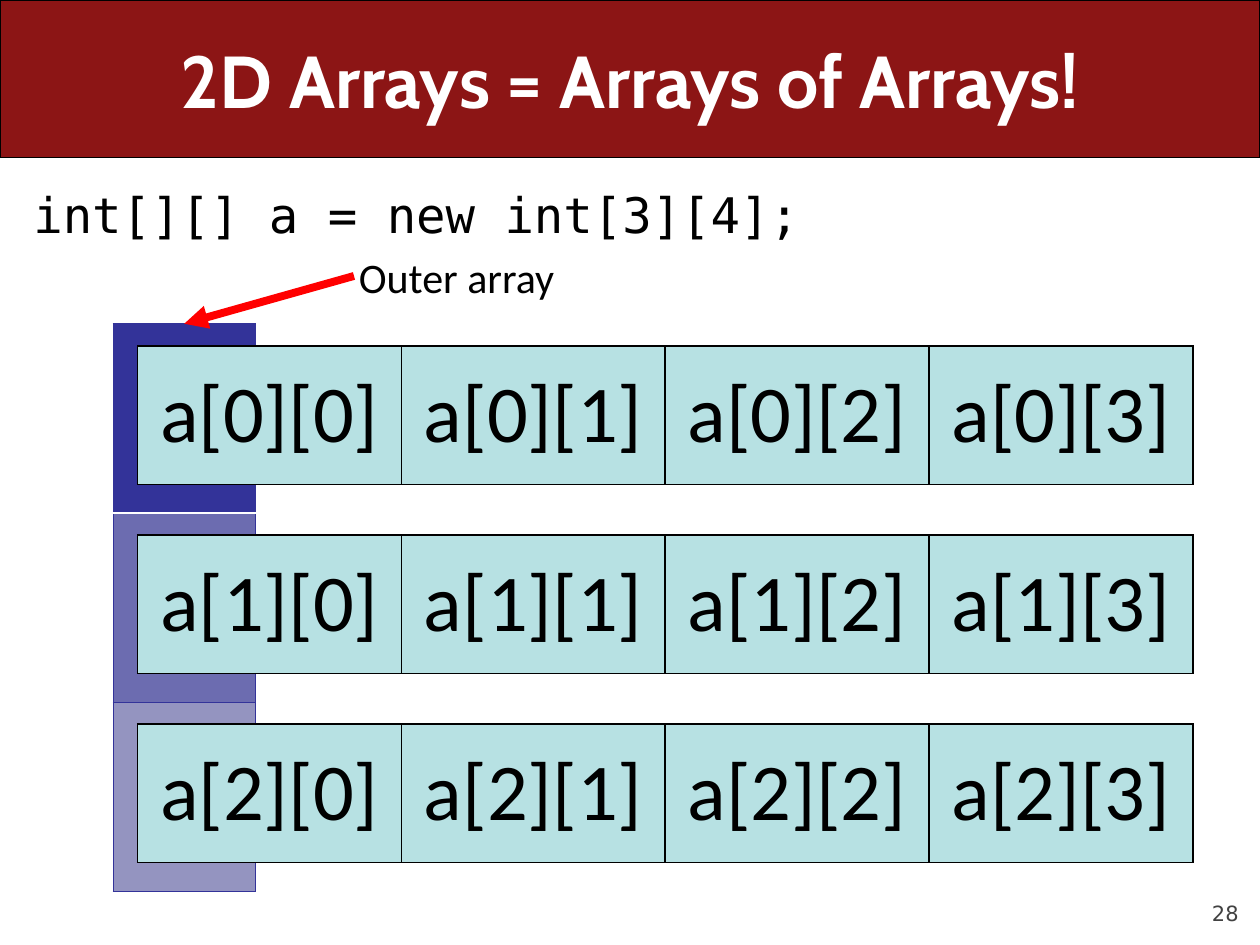
from pptx import Presentation
from pptx.dml.color import RGBColor
from pptx.enum.shapes import MSO_CONNECTOR, MSO_SHAPE
from pptx.enum.text import MSO_ANCHOR, PP_ALIGN
from pptx.oxml.ns import qn
from pptx.util import Pt
from lxml import etree

LEFT, CENTER, RIGHT = PP_ALIGN.LEFT, PP_ALIGN.CENTER, PP_ALIGN.RIGHT
TOP, MIDDLE, BOTTOM = MSO_ANCHOR.TOP, MSO_ANCHOR.MIDDLE, MSO_ANCHOR.BOTTOM
RECT, LINE = MSO_SHAPE.RECTANGLE, MSO_CONNECTOR.STRAIGHT

BLACK = RGBColor(0x00, 0x00, 0x00)
WHITE = RGBColor(0xFF, 0xFF, 0xFF)
GRAY = RGBColor(0x42, 0x42, 0x42)
RED = RGBColor(0xFF, 0x00, 0x00)
MAROON = RGBColor(0x8C, 0x15, 0x15)
NAVY = RGBColor(0x33, 0x33, 0x99)
INDIGO = RGBColor(0x6C, 0x6C, 0xB0)
LILAC = RGBColor(0x94, 0x94, 0xC0)
AQUA = RGBColor(0xB7, 0xE1, 0xE3)

HEAD = {"name": "Cabin", "size": Pt(42), "bold": True}
CODE = {"name": "DejaVu Sans Mono", "size": Pt(28)}
NOTE = {"name": "Calibri", "size": Pt(24)}
CELL = {"name": "Calibri", "size": Pt(46)}
PAGE = {"name": "DejaVu Sans", "size": Pt(12)}

ROWS, COLS = 3, 4
PITCH = 108


def write(frame, text, font, color=BLACK, align=LEFT):
    """Put one formatted line of text into a text frame."""
    line = frame.paragraphs[0]
    line.alignment = align
    run = line.add_run()
    run.text = text
    for key, value in font.items():
        setattr(run.font, key, value)
    run.font.color.rgb = color


def add_label(slide, box, text, font, color=BLACK, align=LEFT,
              anchor=TOP, wrap=True, inset=None):
    """Add a text box in the given box."""
    frame = slide.shapes.add_textbox(*map(Pt, box)).text_frame
    frame.word_wrap = wrap
    frame.vertical_anchor = anchor
    if inset is not None:
        for side in ("left", "top", "right", "bottom"):
            setattr(frame, f"margin_{side}", Pt(inset))
    write(frame, text, font, color, align)


def add_title(slide, box, text):
    """Fill the title over a banner that spans the box."""
    left, top, width, height = box
    band = slide.shapes.add_shape(RECT, *map(Pt, box))
    band.shadow.inherit = False
    band.fill.solid()
    band.fill.fore_color.rgb = MAROON
    band.line.color.rgb = BLACK
    band.line.width = Pt(0.75)
    title = slide.shapes.title
    title.element.addprevious(band.element)
    title.left, title.top = Pt(left + 36), Pt(top)
    title.width, title.height = Pt(width - 72), Pt(height)
    title.text_frame.vertical_anchor = MIDDLE
    write(title.text_frame, text, HEAD, WHITE, CENTER)


def add_edge(cell, side, color, width):
    """Draw the border on one side of a table cell."""
    props = cell._tc.get_or_add_tcPr()
    edge = etree.SubElement(props, qn(f"a:ln{side}"), w=str(Pt(width)))
    fill = etree.SubElement(edge, qn("a:solidFill"))
    etree.SubElement(fill, qn("a:srgbClr"), val=str(color))


def add_grid(slide, box, rows, cols):
    """Add a plain table with equal rows and columns."""
    table = slide.shapes.add_table(rows, cols, *map(Pt, box)).table
    table.first_row = table.horz_banding = False
    return table


def style_cell(cell, fill, edges):
    """Give a cell its borders, then its fill."""
    for side, (color, width) in edges.items():
        add_edge(cell, side, color, width)
    cell.fill.solid()
    cell.fill.fore_color.rgb = fill


def add_outer(slide, box):
    """Add the column that stands for the outer array."""
    table = add_grid(slide, box, ROWS, 1)
    split = (WHITE, 1)
    for row, fill in enumerate((NAVY, INDIGO, LILAC)):
        edges = dict.fromkeys("LRTB", (NAVY, 0.5))
        if row == 0:
            edges["B"] = split
        elif row == 1:
            edges["T"] = split
        style_cell(table.cell(row, 0), fill, edges)


def add_inner(slide, box, row):
    """Add one inner array as a row of labelled cells."""
    table = add_grid(slide, box, 1, COLS)
    for col in range(COLS):
        cell = table.cell(0, col)
        style_cell(cell, AQUA, dict.fromkeys("LRTB", (BLACK, 1)))
        cell.vertical_anchor = MIDDLE
        write(cell.text_frame, f"a[{row}][{col}]", CELL, align=CENTER)


def add_arrays(slide, box):
    """Lay the inner arrays over the outer array."""
    left, top, width, height = box
    add_outer(slide, (left, top, 81.4, height))
    for row in range(ROWS):
        spot = (left + 14, top + 12.6 + row * PITCH, width - 14, 79.2)
        add_inner(slide, spot, row)


def add_arrow(slide, start, end):
    """Draw a thick red arrow from start to end."""
    arrow = slide.shapes.add_connector(LINE, *map(Pt, start + end))
    arrow.line.color.rgb = RED
    arrow.line.width = Pt(4.5)
    etree.SubElement(arrow.line._get_or_add_ln(), qn("a:tailEnd"), type="triangle")
    etree.SubElement(arrow.element.spPr, qn("a:effectLst"))


def main():
    """Build the slide and save it."""
    deck = Presentation()
    deck.slide_width, deck.slide_height = Pt(720), Pt(540)
    slide = deck.slides.add_slide(deck.slide_layouts[5])
    add_title(slide, (0, 0, 720, 90), "2D Arrays = Arrays of Arrays!")
    add_label(slide, (12, 102, 696, 48), "int[][] a = new int[3][4];", CODE)
    add_arrays(slide, (64.6, 185, 617, ROWS * PITCH + 0.6))
    add_arrow(slide, (202.3, 157.7), (105.3, 185))
    add_label(slide, (198, 140.4, 127.4, 36), "Outer array", NOTE, wrap=False)
    add_label(slide, (648, 500.4, 59.8, 28.8), "28", PAGE, GRAY, RIGHT,
              BOTTOM, inset=0)
    deck.save("out.pptx")


if __name__ == "__main__":
    main()
